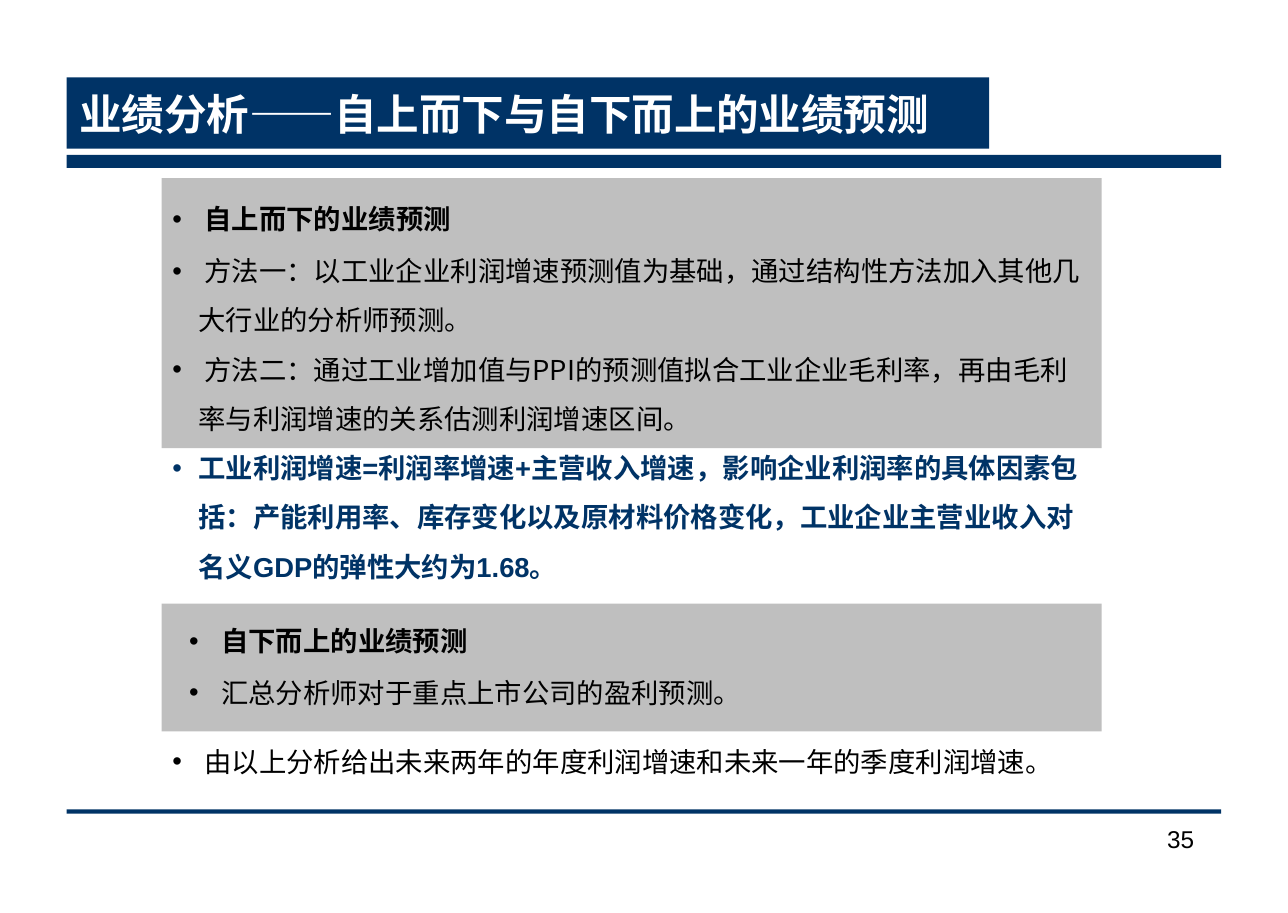
"""Build the slide on top-down and bottom-up earnings forecasts."""
from dataclasses import dataclass

from lxml.etree import SubElement
from pptx import Presentation
from pptx.dml.color import RGBColor
from pptx.enum.shapes import MSO_SHAPE
from pptx.enum.text import MSO_ANCHOR, PP_ALIGN
from pptx.oxml.ns import qn
from pptx.util import Pt


@dataclass(frozen=True)
class Theme:
    navy: RGBColor = RGBColor(0x00, 0x33, 0x66)
    gray: RGBColor = RGBColor(0xBF, 0xBF, 0xBF)
    black: RGBColor = RGBColor(0x00, 0x00, 0x00)
    white: RGBColor = RGBColor(0xFF, 0xFF, 0xFF)
    latin: str = "Arial"
    chinese: str = "Noto Sans CJK SC"
    title_size: int = 28
    body_size: int = 18
    number_size: int = 16


theme = Theme()


def add_bar(left, top, width, height, color):
    bar = page.shapes.add_shape(
        MSO_SHAPE.RECTANGLE, Pt(left), Pt(top), Pt(width), Pt(height))
    bar.shadow.inherit = False
    bar.fill.solid()
    bar.fill.fore_color.rgb = color
    bar.line.fill.background()
    return bar


def style_paragraph(para, size, name, color, bold=False):
    para.font.size = Pt(size)
    para.font.name = name
    para.font.color.rgb = color
    para.font.bold = bold


deck = Presentation()
deck.slide_width, deck.slide_height = Pt(847.5), Pt(601)
page = deck.slides.add_slide(deck.slide_layouts[6])

add_bar(43.9, 102, 759.6, 8.6, theme.navy)
add_bar(43.9, 532.8, 759.6, 2.9, theme.navy)
title = add_bar(43.9, 51, 607, 46.8, theme.navy)
add_bar(106.4, 117.2, 618.5, 177.8, theme.gray)
add_bar(106.4, 397.4, 618.5, 84.2, theme.gray)

frame = title.text_frame
frame.word_wrap = True
frame.vertical_anchor = MSO_ANCHOR.MIDDLE
frame.margin_left = frame.margin_right = Pt(8.2)
frame.margin_top = frame.margin_bottom = Pt(4.1)
para = frame.paragraphs[0]
para.text = "业绩分析——自上而下与自下而上的业绩预测"
para.alignment = PP_ALIGN.LEFT
style_paragraph(para, theme.title_size, theme.latin, theme.white, True)

plain = (theme.chinese, theme.black, False)
heading = (theme.chinese, theme.black, True)
formula = (theme.latin, theme.navy, True)
bullet_boxes = [
    (106.4, 118.8, 236.2, 39.6, [(" 自上而下的业绩预测", heading)]),
    (117.4, 396.7, 320.4, 39.6, [(" 自下而上的业绩预测", heading)]),
    (106.4, 153.1, 618.5, 234, [
        (" 方法一：以工业企业利润增速预测值为基础，通过结构性方法加入其他几大行业的分析师预测。", plain),
        (" 方法二：通过工业增加值与PPI的预测值拟合工业企业毛利率，再由毛利率与利润增速的关系估测利润增速区间。", plain),
        ("工业利润增速=利润率增速+主营收入增速，影响企业利润率的具体因素包括：产能利用率、库存变化以及原材料价格变化，"
         "工业企业主营业收入对名义GDP的弹性大约为1.68。", formula),
    ]),
    (117.4, 430.6, 618.5, 39.6, [(" 汇总分析师对于重点上市公司的盈利预测。", plain)]),
    (106.4, 475.9, 635.8, 39.6, [(" 由以上分析给出未来两年的年度利润增速和未来一年的季度利润增速。", plain)]),
]
for left, top, width, height, lines in bullet_boxes:
    box = page.shapes.add_textbox(Pt(left), Pt(top), Pt(width), Pt(height))
    frame = box.text_frame
    frame.word_wrap = True
    for index, (text, (name, color, bold)) in enumerate(lines):
        para = frame.add_paragraph() if index else frame.paragraphs[0]
        para.text = text
        para.line_spacing = 1.5
        properties = para._p.get_or_add_pPr()
        properties.set("marL", str(Pt(17)))
        properties.set("indent", str(Pt(-17)))
        bullet_color = SubElement(properties, qn("a:buClr"))
        SubElement(bullet_color, qn("a:srgbClr"), val=str(color))
        SubElement(properties, qn("a:buFont"), typeface=theme.latin)
        SubElement(properties, qn("a:buChar"), char="•")
        style_paragraph(para, theme.body_size, name, color, bold)

number_box = page.shapes.add_textbox(Pt(729.8), Pt(538.4), Pt(64.1), Pt(41.8))
frame = number_box.text_frame
frame.word_wrap = True
frame.margin_left = frame.margin_right = Pt(8.2)
frame.margin_top = frame.margin_bottom = Pt(4.1)
para = frame.paragraphs[0]
para.text = "35"
para.alignment = PP_ALIGN.RIGHT
style_paragraph(para, theme.number_size, theme.latin, theme.black)

deck.save("out.pptx")
